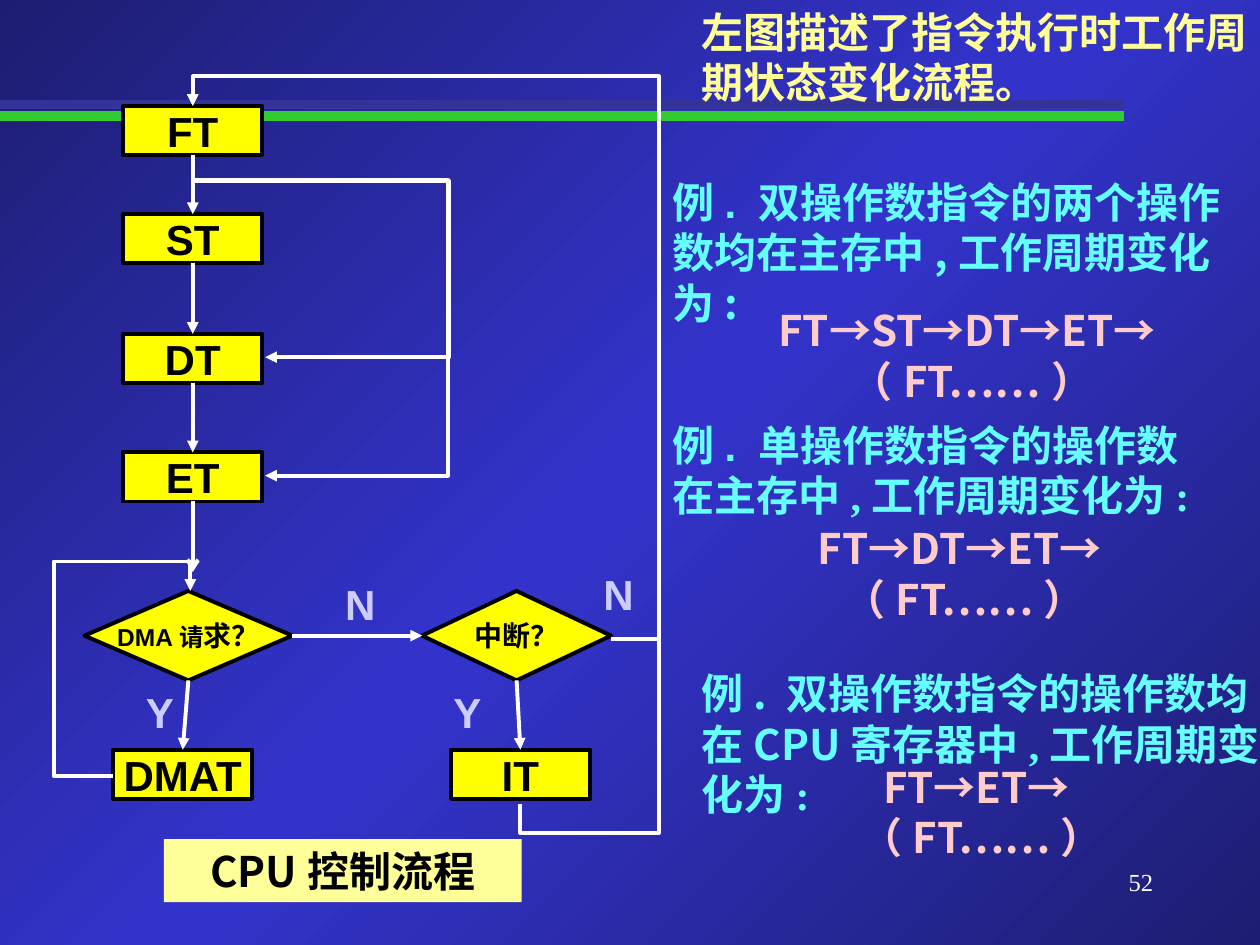
from copy import deepcopy

from lxml.etree import SubElement
from pptx import Presentation
from pptx.dml.color import RGBColor
from pptx.enum.shapes import MSO_CONNECTOR, MSO_SHAPE
from pptx.enum.text import MSO_ANCHOR, PP_ALIGN
from pptx.oxml.ns import qn
from pptx.util import Inches, Pt

ARIAL, SANS, SERIF = "Arial", "Noto Sans CJK SC", "Times New Roman"
BLACK, WHITE, YELLOW, PALE = "000000", "FFFFFF", "FFFF00", "FFFF99"
CYAN, PINK, LILAC = "66FFFF", "FFCCCC", "CCCCFF"
TOP, LEFT, BOTTOM, RIGHT = range(4)


def rgb(value):
    return RGBColor.from_string(value)


class SlideBuilder:
    def __init__(self, slide):
        self.s = slide

    def background(self, *stops):
        fill = self.s.background.fill
        fill.gradient()
        fill.gradient_angle = 315
        gs_list = self.s.element.xpath(".//a:gsLst")[0]
        gs_list.append(deepcopy(gs_list[-1]))
        for stop, (position, color) in zip(fill.gradient_stops, stops):
            stop.position = position
            stop.color.rgb = rgb(color)

    def add_runs(self, sp, runs, color, align, anchor=MSO_ANCHOR.MIDDLE,
                 wrap=True, bold=True):
        """Each run is (text, font, size)."""
        tf = sp.text_frame
        tf.word_wrap = wrap
        tf.vertical_anchor = anchor
        p = tf.paragraphs[0]
        p.alignment = align
        for text, font, size in runs:
            r = p.add_run()
            r.text = text
            r.font.name, r.font.size, r.font.bold = font, Pt(size), bold
            r.font.color.rgb = rgb(color)
            SubElement(r.font._element, qn("a:ea"), typeface=SANS)

    def text(self, box, runs, color, align=PP_ALIGN.LEFT, **style):
        sp = self.s.shapes.add_textbox(*map(Inches, box))
        self.add_runs(sp, runs, color, align, **style)

    def shape(self, kind, box, runs, fill=YELLOW, line=BLACK):
        sp = self.s.shapes.add_shape(kind, *map(Inches, box))
        sp.shadow.inherit = False
        sp.fill.solid()
        sp.fill.fore_color.rgb = rgb(fill)
        if line:
            sp.line.color.rgb = rgb(line)
            sp.line.width = Pt(2.25)
        else:
            sp.line.fill.background()
        self.add_runs(sp, runs, BLACK, PP_ALIGN.CENTER, wrap=False)
        return sp

    def line(self, start, end, color=WHITE, width=2.25, head=None,
             kind=MSO_CONNECTOR.STRAIGHT):
        cx = self.s.shapes.add_connector(kind, *map(Inches, start + end))
        cx.line.color.rgb = rgb(color)
        cx.line.width = Pt(width)
        sp_pr = cx.element.spPr
        if head:
            SubElement(sp_pr.find(qn("a:ln")), qn("a:tailEnd"), type=head)
        SubElement(sp_pr, qn("a:effectLst"))
        return cx

    def join(self, source, source_side, target, target_side):
        cx = self.line((0, 0), (1, 1), head="triangle")
        cx.begin_connect(source, source_side)
        cx.end_connect(target, target_side)

    def elbow(self, box, rotation, flips, adjustments):
        """Bent arrow; adjustments are fractions of the unrotated box."""
        x, y, w, h = box
        cx = self.line((x, y), (x + w, y + h), head="triangle",
                       kind=MSO_CONNECTOR.ELBOW)
        xfrm = cx.element.spPr.find(qn("a:xfrm"))
        xfrm.set("rot", str(rotation * 60000))
        for axis in flips:
            xfrm.set("flip" + axis, "1")
        geom = cx.element.spPr.find(qn("a:prstGeom"))
        geom.set("prst", f"bentConnector{len(adjustments) + 2}")
        guides = geom.find(qn("a:avLst"))
        if guides is None:
            guides = SubElement(geom, qn("a:avLst"))
        for i, value in enumerate(adjustments, 1):
            SubElement(guides, qn("a:gd"), name=f"adj{i}",
                       fmla=f"val {round(value * 100000)}")


def main():
    prs = Presentation()
    prs.slide_width, prs.slide_height = Inches(10), Inches(7.5)
    b = SlideBuilder(prs.slides.add_slide(prs.slide_layouts[6]))

    # Background, double rule and page number
    b.background((0, "1D1D72"), (0.5, "3333CC"), (1, "1D1D72"))
    for y, color in ((0.92, "33CC33"), (0.83, "333399")):
        b.line((0, y), (8.92, y), color, 5.5)
    b.text((7.17, 6.83, 2.08, 0.5), [("52", SERIF, 14)], WHITE,
           PP_ALIGN.RIGHT, anchor=MSO_ANCHOR.TOP, bold=False)

    # Heading and examples
    b.text((5.47, 0, 4.53, 0.9),
           [("左图描述了指令执行时工作周期状态变化流程。", ARIAL, 24)], PALE)
    examples = [
        ((5.24, 1.55, 4.76, 0.9),
         [("例. 双操作数指令", ARIAL, 24),
          ("的两个操作数均在主存中,工作周期变化为:", SANS, 24)],
         (5.43, 2.57, 4.57, 0.5), "FT→ST→DT→ET→（FT……）"),
        ((5.24, 3.28, 4.53, 0.9),
         [("例. 单操作数指令的操作数在主存中", ARIAL, 24),
          (",工作周期变化为:", SERIF, 24)],
         (5.71, 4.3, 3.89, 0.5), "FT→DT→ET→（FT……）"),
        ((5.47, 5.25, 4.74, 1.3),
         [("例. 双操作数指令的操作数均在CPU寄存器中", SANS, 24),
          (",工作周期变化为:", SERIF, 24)],
         (6.18, 6.19, 3.22, 0.5), "FT→ET→（FT……）"),
    ]
    for question_box, question, answer_box, answer in examples:
        b.text(question_box, question, CYAN)
        b.text(answer_box, [(answer, SANS, 24)], PINK, PP_ALIGN.CENTER)

    # Flowchart steps and decisions
    steps = {
        name: b.shape(MSO_SHAPE.FLOWCHART_PROCESS, (x, y, 1.1, 0.39),
                      [(name, ARIAL, 24)])
        for name, x, y in (("FT", 0.98, 0.84), ("ST", 0.98, 1.7),
                           ("DT", 0.98, 2.65), ("ET", 0.98, 3.59),
                           ("DMAT", 0.9, 5.95), ("IT", 3.58, 5.95))
    }
    dma = b.shape(MSO_SHAPE.FLOWCHART_DECISION, (0.67, 4.69, 1.65, 0.71),
                  [("DMA请", ARIAL, 14), ("求？", ARIAL, 16)])
    interrupt = b.shape(MSO_SHAPE.FLOWCHART_DECISION, (3.35, 4.69, 1.5, 0.71),
                        [("中断？", ARIAL, 16)])

    # Straight arrows
    for source, target in (("FT", "ST"), ("ST", "DT"), ("DT", "ET")):
        b.join(steps[source], BOTTOM, steps[target], TOP)
    b.join(dma, BOTTOM, steps["DMAT"], TOP)
    b.join(dma, RIGHT, interrupt, LEFT)
    b.join(interrupt, BOTTOM, steps["IT"], TOP)
    to_dma = b.line((1.53, 3.98), (1.53, 4.54), head="arrow")
    to_dma.begin_connect(steps["ET"], BOTTOM)

    # Bent arrows: DMAT to DMA, interrupt to FT, IT to FT, FT to DT, FT to ET
    b.elbow((0.9, 4.69, 0.61, 1.47), 180, "H", (-0.776, 1.159))
    b.elbow((1.53, 0.84, 3.32, 4.23), 0, "HV", (-0.115, 1.055))
    b.elbow((0.06, 2.31, 5.54, 2.6), 270, "V", (-0.042, -0.422, 1.042))
    b.elbow((1.02, 1.75, 1.6, 0.57), 270, "H", (0.125, 3.561))
    b.elbow((0.55, 2.22, 2.54, 0.57), 270, "H", (0.076, 3.549))

    # Branch labels and caption
    for label, x, y, w in (("Y", 1.06, 5.4, 0.32), ("Y", 3.5, 5.4, 0.32),
                           ("N", 2.64, 4.54, 0.39), ("N", 4.69, 4.46, 0.39)):
        b.text((x, y, w, 0.5), [(label, ARIAL, 24)], LILAC,
               anchor=MSO_ANCHOR.TOP)
    b.shape(MSO_SHAPE.RECTANGLE, (1.3, 6.66, 2.84, 0.5),
            [("CPU控制流程", SANS, 24)], PALE, None)

    prs.save("out.pptx")


if __name__ == "__main__":
    main()
